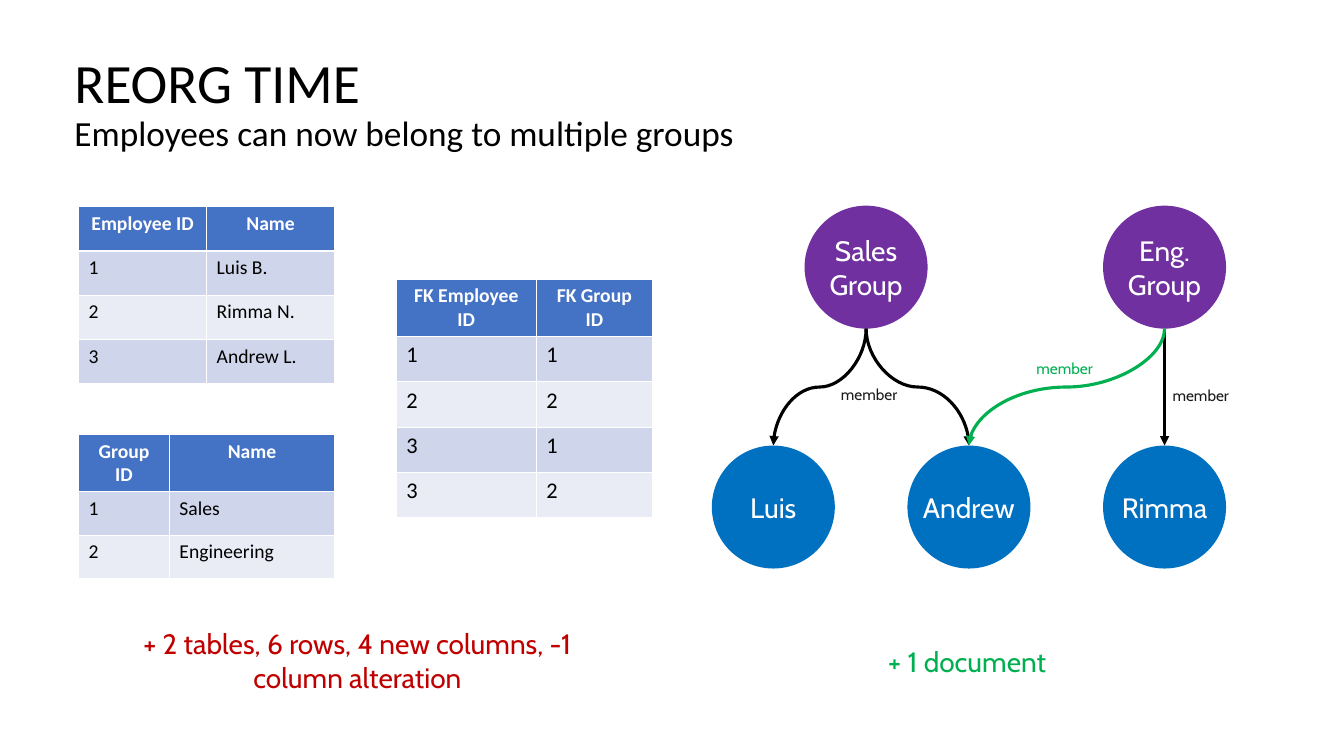
from lxml import etree
from pptx import Presentation
from pptx.dml.color import RGBColor
from pptx.enum.shapes import MSO_CONNECTOR, MSO_SHAPE
from pptx.enum.text import MSO_ANCHOR, PP_ALIGN
from pptx.oxml.ns import qn
from pptx.util import Pt

PX = 9144  # 100 px to the inch
CENTER, LEFT = PP_ALIGN.CENTER, PP_ALIGN.LEFT
MIDDLE = MSO_ANCHOR.MIDDLE
OVAL = MSO_SHAPE.OVAL
CURVE, STRAIGHT = MSO_CONNECTOR.CURVE, MSO_CONNECTOR.STRAIGHT
COLORS = {
    "black": "000000", "white": "FFFFFF", "ink": "1A1A1A",
    "purple": "7030A0", "blue": "0070C0", "green": "00B050", "red": "C00000",
    "header": "4472C4", "odd": "CFD5EA", "even": "E9EBF5",
}


def color(name):
    return RGBColor.from_string(COLORS[name])


def style(paragraph, size, font, ink, align=LEFT, bold=False):
    paragraph.alignment = align
    paragraph.font.size = Pt(size)
    paragraph.font.name = font
    paragraph.font.bold = bold
    paragraph.font.color.rgb = color(ink)


presentation = Presentation()
presentation.slide_width, presentation.slide_height = 1333 * PX, 750 * PX
slide = presentation.slides.add_slide(presentation.slide_layouts[6])
shapes = slide.shapes

# Title and subtitle
title = shapes.add_textbox(64 * PX, 50 * PX, 1205 * PX, 108 * PX)
title.text_frame.word_wrap = True
title.text_frame.vertical_anchor = MIDDLE
paragraph = title.text_frame.paragraphs[0]
style(paragraph, 39.6, "Calibri", "black")
paragraph.line_spacing = 0.9
paragraph.add_run().text = "REORG TIME"
paragraph.add_line_break()
subtitle = paragraph.add_run()
subtitle.text = "Employees can now belong to multiple groups"
subtitle.font.size = Pt(25.2)

# Groups and employees
CIRCLE = 122
GROUP_TOP, EMPLOYEE_TOP = 204, 442
circles = [
    (798, GROUP_TOP, "purple", ["Sales", "Group"]),
    (1094, GROUP_TOP, "purple", ["Eng.", "Group"]),
    (706, EMPLOYEE_TOP, "blue", ["Luis"]),
    (900, EMPLOYEE_TOP, "blue", ["Andrew"]),
    (1094, EMPLOYEE_TOP, "blue", ["Rimma"]),
]
for left, top, fill, lines in circles:
    circle = shapes.add_shape(OVAL, left * PX, top * PX, CIRCLE * PX, CIRCLE * PX)
    circle.shadow.inherit = False
    circle.fill.solid()
    circle.fill.fore_color.rgb = color(fill)
    circle.line.fill.background()
    frame = circle.text_frame
    frame.margin_left = frame.margin_right = frame.margin_top = frame.margin_bottom = 0
    frame.word_wrap = False
    frame.vertical_anchor = MIDDLE
    frame.text = "\n".join(lines)
    for paragraph in frame.paragraphs:
        style(paragraph, 20, "Cabin", "white", CENTER)

# Membership arrows: a curve is a sideways S turned by a quarter
SALES, ENGINEERING = 859, 1155
LUIS, ANDREW, RIMMA = 767, 961, 1155
START = GROUP_TOP + CIRCLE
DROP = EMPLOYEE_TOP - START
arrows = [
    (SALES, LUIS, "black"), (SALES, ANDREW, "black"),
    (ENGINEERING, RIMMA, "black"), (ENGINEERING, ANDREW, "green"),
]
for group, employee, ink in arrows:
    if group == employee:
        arrow = shapes.add_connector(STRAIGHT, group * PX, START * PX,
                                     employee * PX, EMPLOYEE_TOP * PX)
    else:
        center_x, center_y = (group + employee) * PX // 2, (START + EMPLOYEE_TOP) * PX // 2
        half_spread = abs(group - employee) * PX // 2
        half_drop = DROP * PX // 2 * (1 if employee < group else -1)
        arrow = shapes.add_connector(CURVE, center_x - half_drop, center_y - half_spread,
                                     center_x + half_drop, center_y + half_spread)
        turn = 90 if employee < group else 270
        arrow._element.spPr.find(qn("a:xfrm")).set("rot", str(turn * 60000))
    arrow.line.width = Pt(2.25)
    arrow.line.color.rgb = color(ink)
    etree.SubElement(arrow.line._get_or_add_ln(), qn("a:tailEnd"), type="triangle")
    etree.SubElement(arrow._element.spPr, qn("a:effectLst"))

# Tables: left, top, column widths, row heights, body size, rows
tables = [
    (78, 205, [127, 127], [44] * 4, 14,
     [("Employee ID", "Name"), ("1", "Luis B."), ("2", "Rimma N."), ("3", "Andrew L.")]),
    (393, 277, [139, 115], [55] + [45] * 4, 16,
     [("FK Employee ID", "FK Group ID"), ("1", "1"), ("2", "2"), ("3", "1"), ("3", "2")]),
    (78, 431, [90, 164], [57] + [43] * 2, 14,
     [("Group ID", "Name"), ("1", "Sales"), ("2", "Engineering")]),
]
for left, top, widths, heights, body_size, rows in tables:
    table = shapes.add_table(len(rows), len(widths), left * PX, top * PX,
                             sum(widths) * PX, sum(heights) * PX).table
    for column, width in zip(table.columns, widths):
        column.width = width * PX
    for row_index, (row, height) in enumerate(zip(rows, heights)):
        table.rows[row_index].height = height * PX
        for column_index, text in enumerate(row):
            cell = table.cell(row_index, column_index)
            cell.text = text
            cell.fill.solid()
            paragraph = cell.text_frame.paragraphs[0]
            if row_index == 0:
                cell.fill.fore_color.rgb = color("header")
                style(paragraph, 14, "Calibri", "white", CENTER, True)
            else:
                cell.fill.fore_color.rgb = color("odd" if row_index % 2 else "even")
                style(paragraph, body_size, "Calibri", "black")

# Arrow labels and closing remarks
labels = [
    (834, 382, 57, 19, "member", 11, "ink", LEFT, False),
    (1163, 383, 57, 19, "member", 11, "ink", LEFT, False),
    (1028, 356, 57, 19, "member", 11, "green", LEFT, False),
    (140, 622, 429, 67, "+ 2 tables, 6 rows, 4 new columns, -1 column alteration",
     20, "red", CENTER, True),
    (881, 639, 176, 34, "+ 1 document", 20, "green", LEFT, False),
]
for left, top, width, height, text, size, ink, align, wrap in labels:
    label = shapes.add_textbox(left * PX, top * PX, width * PX, height * PX)
    frame = label.text_frame
    frame.margin_left = frame.margin_right = frame.margin_top = frame.margin_bottom = 0
    frame.word_wrap = wrap
    frame.text = text
    style(frame.paragraphs[0], size, "Cabin", ink, align)

presentation.save("out.pptx")
